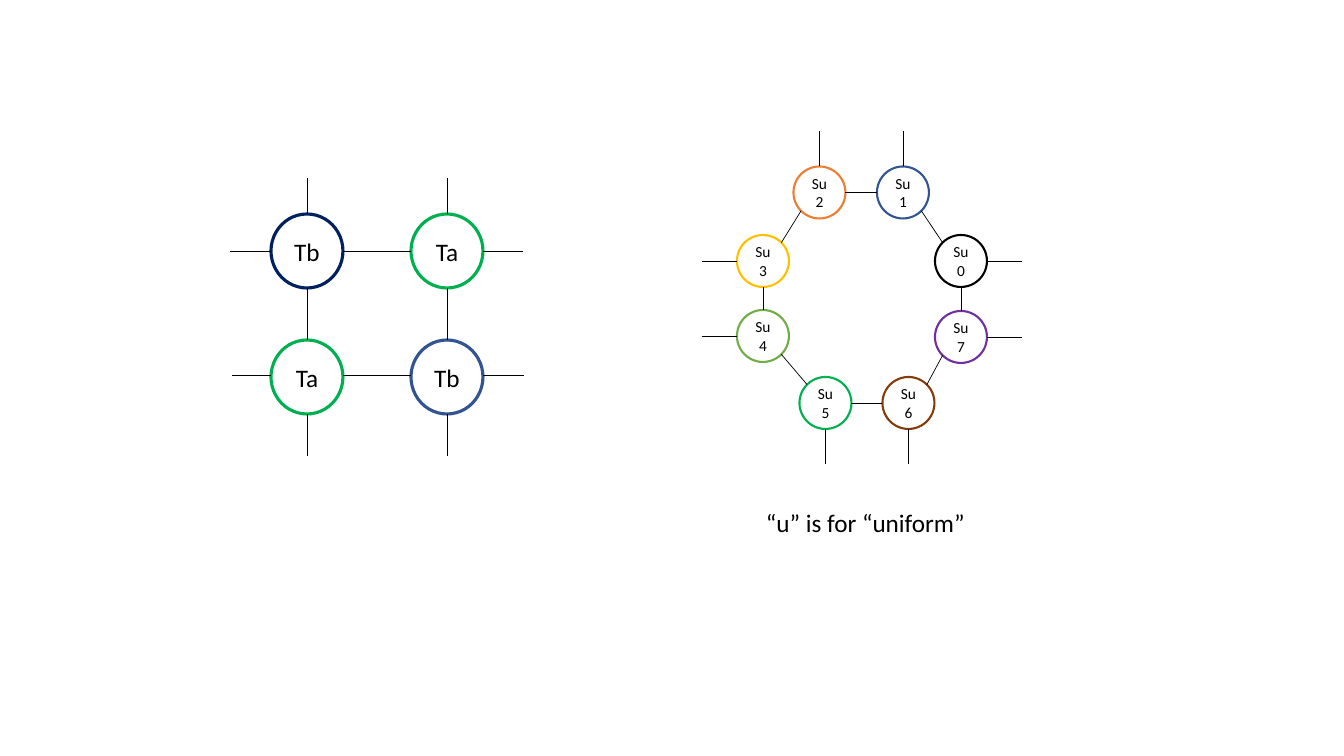
from math import atan2, cos, pi, sin

from lxml.etree import SubElement
from pptx import Presentation
from pptx.dml.color import RGBColor
from pptx.enum.shapes import MSO_CONNECTOR, MSO_SHAPE
from pptx.enum.text import MSO_ANCHOR, MSO_AUTO_SIZE, PP_ALIGN
from pptx.oxml.ns import qn
from pptx.util import Pt

EMU_PER_PIXEL = 914400 / 100.8
COLORS = {
    "black": "000000", "white": "FFFFFF", "navy": "002060", "blue": "325491",
    "green": "00B050", "lime": "70AD47", "gold": "FFC000", "orange": "ED7D31",
    "brown": "843C0B", "purple": "7030A0",
}


def px(length):
    """Turn pixels into EMU."""
    return round(length * EMU_PER_PIXEL)


def rgb(color):
    """Look up a named colour."""
    return RGBColor.from_string(COLORS[color])


def write(frame, text, size=18, color="black", align=PP_ALIGN.LEFT, font="Calibri"):
    """Put one formatted paragraph into a text frame."""
    paragraph = frame.paragraphs[0]
    paragraph.alignment = align
    run = paragraph.add_run()
    run.text = text
    run.font.name = font
    run.font.size = Pt(size)
    run.font.color.rgb = rgb(color)


class Diagram:
    """Holds the slide and the style of its elements."""

    line_width = 0.5
    line_color = "black"

    def __init__(self, slide):
        self.slide = slide

    def node(self, center, size, text, color, weight, font_size, fill=None):
        """Draw a labelled circle around its centre."""
        (x, y), (width, height) = center, size
        circle = self.slide.shapes.add_shape(
            MSO_SHAPE.OVAL, px(x - width / 2), px(y - height / 2), px(width), px(height))
        circle.shadow.inherit = False
        if fill:
            circle.fill.solid()
            circle.fill.fore_color.rgb = rgb(fill)
        else:
            circle.fill.background()
        circle.line.color.rgb = rgb(color)
        circle.line.width = Pt(weight)
        circle.text_frame.vertical_anchor = MSO_ANCHOR.MIDDLE
        write(circle.text_frame, text, size=font_size, align=PP_ALIGN.CENTER)

    def bond(self, start, end):
        """Draw a thin straight line between two points."""
        line = self.slide.shapes.add_connector(
            MSO_CONNECTOR.STRAIGHT, *map(px, (*start, *end)))
        line.line.color.rgb = rgb(self.line_color)
        line.line.width = Pt(self.line_width)
        SubElement(line._element.spPr, qn("a:effectLst"))

    def caption(self, left, top, width, height, text):
        """Add a single-line text box."""
        box = self.slide.shapes.add_textbox(*map(px, (left, top, width, height)))
        box.text_frame.word_wrap = False
        box.text_frame.auto_size = MSO_AUTO_SIZE.SHAPE_TO_FIT_TEXT
        write(box.text_frame, text)


def draw_square(diagram):
    """Draw the two-by-two lattice of Ta and Tb tensors."""
    columns, rows = (307, 447), (251, 377)
    width, height = 72, 74
    tensors = [(1, 0, "Ta", "green"), (0, 0, "Tb", "navy"),
               (0, 1, "Ta", "green"), (1, 1, "Tb", "blue")]
    for column, row, label, color in tensors:
        diagram.node((columns[column], rows[row]), (width, height), label, color, 2.25, 18)

    # Each row: height of its bonds, then its outer left and right ends
    for y, outer_left, outer_right in ((251, 230, 523), (375, 232, 524)):
        stops = (outer_left, columns[0] - width / 2, columns[0] + width / 2,
                 columns[1] - width / 2, columns[1] + width / 2, outer_right)
        for start, end in zip(stops[::2], stops[1::2]):
            diagram.bond((start, y), (end, y))
    for x in columns:
        stops = (178, rows[0] - height / 2, rows[0] + height / 2,
                 rows[1] - height / 2, rows[1] + height / 2, 456)
        for start, end in zip(stops[::2], stops[1::2]):
            diagram.bond((x, start), (x, end))


def rim_point(center, target, radius):
    """Return the rim point, in steps of 45 degrees, that faces the target."""
    (x, y), (target_x, target_y) = center, target
    angle = round(atan2(target_y - y, target_x - x) / (pi / 4)) * pi / 4
    return x + radius * cos(angle), y + radius * sin(angle)


def draw_ring(diagram):
    """Draw the ring of eight Su tensors, each with one outward leg."""
    radius, leg = 26, 35
    up, down, left, right = (0, -1), (0, 1), (-1, 0), (1, 0)
    tensors = [
        ("Su3", (763, 261), "gold", "white", left),
        ("Su4", (763, 336), "lime", "white", left),
        ("Su5", (825.5, 403), "green", None, down),
        ("Su6", (908.5, 403), "brown", None, down),
        ("Su7", (961, 337), "purple", None, right),
        ("Su0", (961, 261), "black", "white", right),
        ("Su1", (903, 192.5), "blue", None, up),
        ("Su2", (819.5, 192.5), "orange", "white", up),
    ]
    for label, center, color, fill, _ in tensors:
        diagram.node(center, (2 * radius, 2 * radius), label, color, 1.5, 11, fill=fill)

    centers = [tensor[1] for tensor in tensors]
    for here, following in zip(centers, centers[1:] + centers[:1]):
        diagram.bond(rim_point(here, following, radius), rim_point(following, here, radius))
    for _, (x, y), _, _, (dx, dy) in tensors:
        diagram.bond((x + dx * radius, y + dy * radius),
                     (x + dx * (radius + leg), y + dy * (radius + leg)))


def main():
    """Build the slide and save it."""
    deck = Presentation()
    deck.slide_width, deck.slide_height = px(1344), px(756)
    diagram = Diagram(deck.slides.add_slide(deck.slide_layouts[6]))
    draw_square(diagram)
    draw_ring(diagram)
    diagram.caption(756, 502, 222, 40, "“u” is for “uniform”")
    deck.save("out.pptx")


main()
